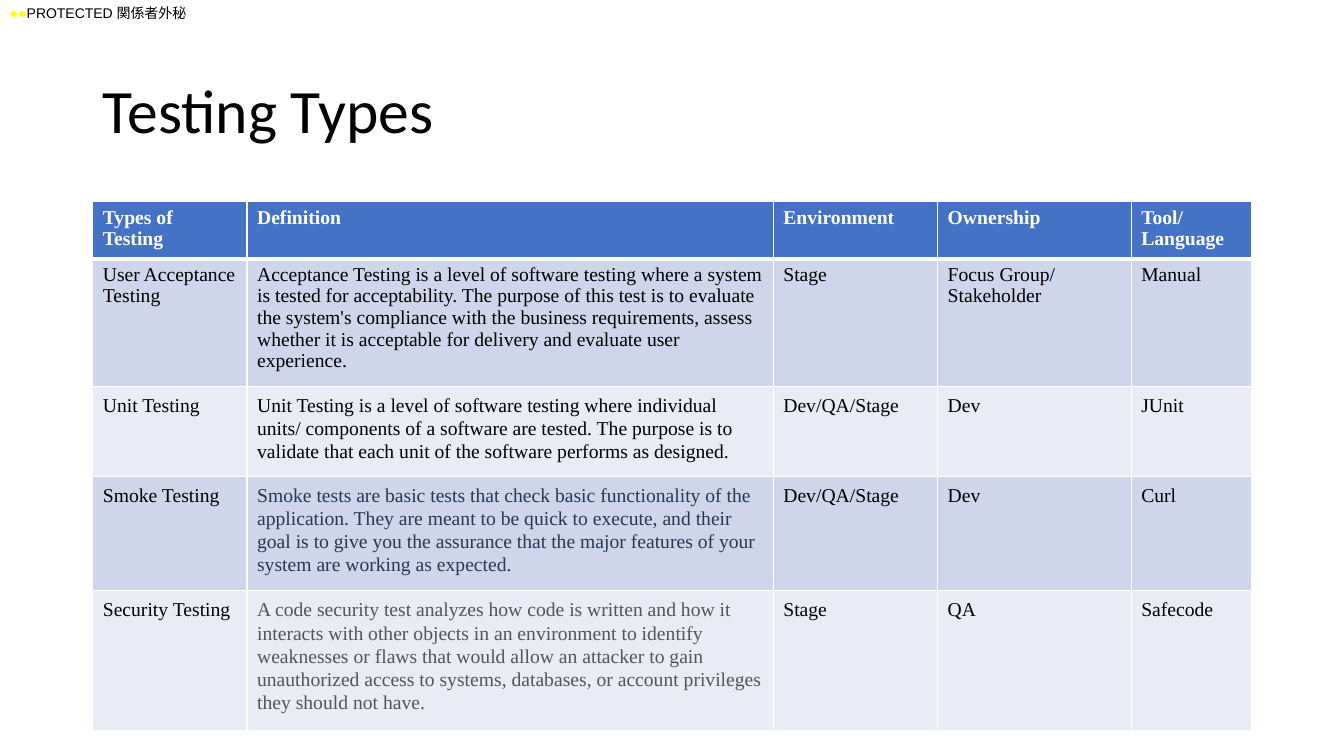
from dataclasses import dataclass

import pptx
import pptx.dml.color
import pptx.enum.text
import pptx.oxml
import pptx.oxml.ns
import pptx.util

Inches = pptx.util.Inches
Pt = pptx.util.Pt

COLORS = {
    "header": "4472C4",
    "odd": "CFD5EA",
    "even": "E9EBF5",
    "white": "FFFFFF",
    "black": "000000",
    "yellow": "FFFF00",
    "navy": "253858",
    "gray": "555555",
}


@dataclass
class TestRow:
    cells: tuple[str, ...]
    height: float
    fill: str
    text: str = "black"
    definition: str = "black"
    bold: bool = False
    spacing: float | None = 1.07
    margin: float = 0.07
    top: int = 1
    bottom: int = 1


ROWS = [
    TestRow(("Types of Testing", "Definition", "Environment", "Ownership", "Tool/ Language"),
            0.5, "header", "white", "white", bold=True, spacing=None, margin=0.05, bottom=3),
    TestRow(("User Acceptance Testing",
             "Acceptance Testing is a level of software testing where a system is tested for "
             "acceptability. The purpose of this test is to evaluate the system's compliance with "
             "the business requirements, assess whether it is acceptable for delivery and evaluate "
             "user experience.",
             "Stage", "Focus Group/ Stakeholder", "Manual"),
            1.15, "odd", spacing=None, margin=0.05, top=3),
    TestRow(("Unit Testing",
             "Unit Testing is a level of software testing where individual units/ components of a "
             "software are tested. The purpose is to validate that each unit of the software "
             "performs as designed.",
             "Dev/QA/Stage", "Dev", "JUnit"),
            0.8, "even"),
    TestRow(("Smoke Testing",
             "Smoke tests are basic tests that check basic functionality of the application. They "
             "are meant to be quick to execute, and their goal is to give you the assurance that "
             "the major features of your system are working as expected.",
             "Dev/QA/Stage", "Dev", "Curl"),
            1.05, "odd", definition="navy"),
    TestRow(("Security Testing",
             "A code security test analyzes how code is written and how it interacts with other "
             "objects in an environment to identify weaknesses or flaws that would allow an "
             "attacker to gain unauthorized access to systems, databases, or account privileges "
             "they should not have.",
             "Stage", "QA", "Safecode"),
            1.25, "even", definition="gray"),
]
WIDTHS = [1.53, 5.22, 1.63, 1.92, 1.19]


def rgb(name: str) -> pptx.dml.color.RGBColor:
    return pptx.dml.color.RGBColor.from_string(COLORS[name])


def add_borders(cell, top: int, bottom: int) -> None:
    tcPr = cell._tc.get_or_add_tcPr()
    for side, width in (("L", 1), ("R", 1), ("T", top), ("B", bottom)):
        tcPr.append(pptx.oxml.parse_xml(
            f'<a:ln{side} {pptx.oxml.ns.nsdecls("a")} w="{Pt(width)}"><a:solidFill>'
            f'<a:srgbClr val="{COLORS["white"]}"/></a:solidFill></a:ln{side}>'))


def fill_row(table, index: int, row: TestRow) -> None:
    table.rows[index].height = Inches(row.height)
    for column, text in enumerate(row.cells):
        cell = table.cell(index, column)
        add_borders(cell, row.top, row.bottom)
        cell.fill.solid()
        cell.fill.fore_color.rgb = rgb(row.fill)
        cell.margin_left = cell.margin_right = Inches(0.1)
        cell.margin_top = cell.margin_bottom = Inches(row.margin)
        cell.text = text
        p = cell.text_frame.paragraphs[0]
        p.line_spacing = row.spacing
        p.font.name = "Times New Roman"
        p.font.size = Pt(14)
        p.font.bold = row.bold
        p.font.color.rgb = rgb(row.definition if column == 1 else row.text)


def add_label(s) -> None:
    tf = s.shapes.add_textbox(0, 0, Inches(13.33), Inches(0.27)).text_frame
    tf.word_wrap = True
    tf.auto_size = pptx.enum.text.MSO_AUTO_SIZE.SHAPE_TO_FIT_TEXT
    p = tf.paragraphs[0]
    p.font.name = "Arial"
    p.font.size = Pt(10)
    for text, color, bold in (("●●", "yellow", True), ("PROTECTED 関係者外秘", "black", False)):
        r = p.add_run()
        r.text = text
        r.font.bold = bold
        r.font.color.rgb = rgb(color)


def add_title(s) -> None:
    title = s.shapes.title
    title.left, title.top = Inches(0.92), Inches(0.4)
    title.width, title.height = Inches(11.5), Inches(1.45)
    tf = title.text_frame
    tf.text = "Testing Types"
    tf.vertical_anchor = pptx.enum.text.MSO_ANCHOR.MIDDLE
    p = tf.paragraphs[0]
    p.alignment = pptx.enum.text.PP_ALIGN.LEFT
    p.line_spacing = 0.9
    p.font.name = "Calibri"
    p.font.size = Pt(44)
    p.font.color.rgb = rgb("black")


def add_testing_table(s) -> None:
    height = sum(row.height for row in ROWS)
    table = s.shapes.add_table(len(ROWS), len(WIDTHS), Inches(0.92), Inches(2),
                               Inches(sum(WIDTHS)), Inches(height)).table
    for column, width in zip(table.columns, WIDTHS):
        column.width = Inches(width)
    for index, row in enumerate(ROWS):
        fill_row(table, index, row)


def main() -> None:
    prs = pptx.Presentation()
    prs.slide_width = Inches(13.33)
    prs.slide_height = Inches(7.5)
    s = prs.slides.add_slide(prs.slide_layouts[5])
    add_label(s)
    add_title(s)
    add_testing_table(s)
    prs.save("out.pptx")


if __name__ == "__main__":
    main()
